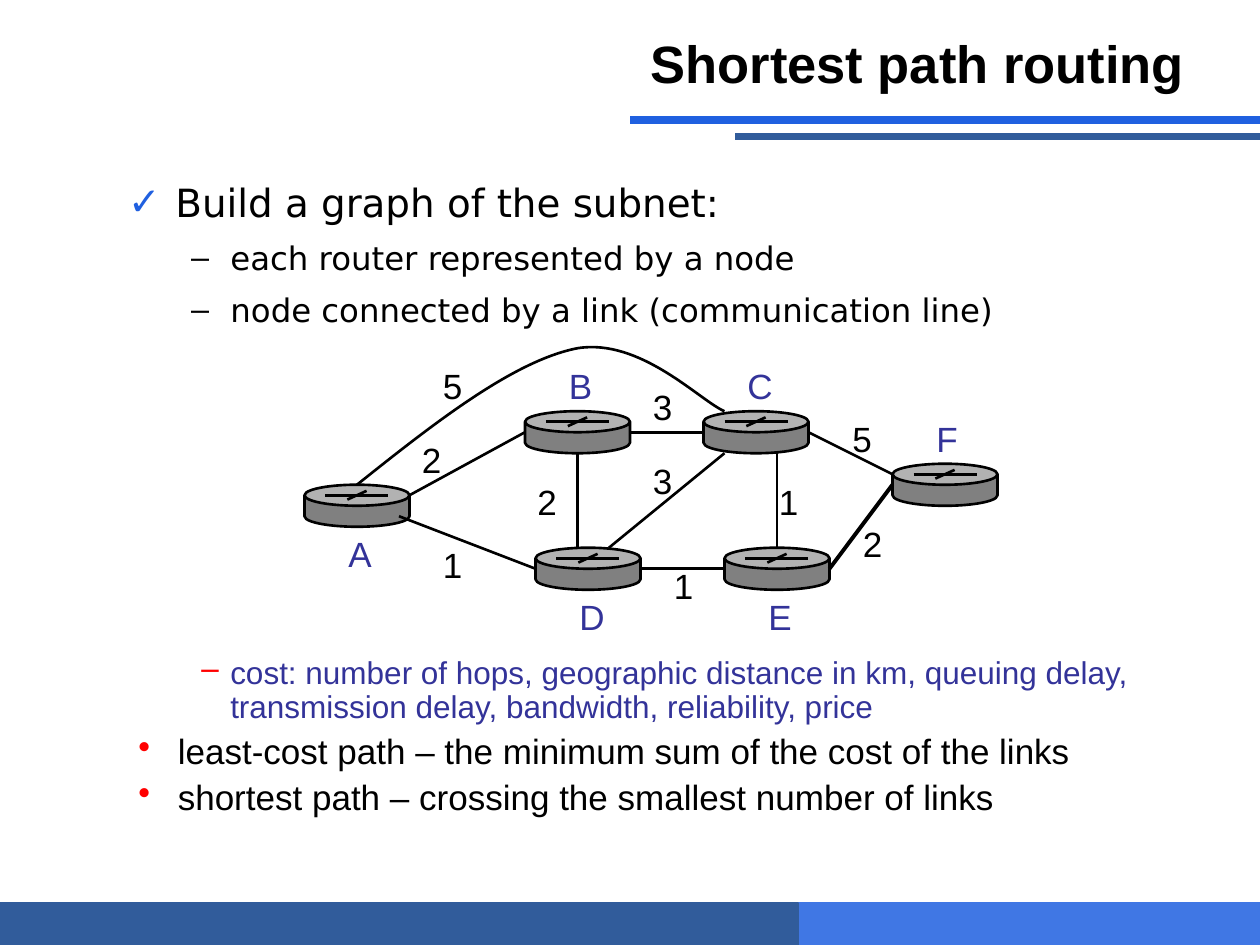
from lxml.etree import SubElement
from pptx import Presentation
from pptx.dml.color import RGBColor
from pptx.enum.shapes import MSO_CONNECTOR, MSO_SHAPE
from pptx.enum.text import MSO_ANCHOR, MSO_AUTO_SIZE, PP_ALIGN
from pptx.oxml.ns import qn
from pptx.util import Pt

BLACK, INDIGO, RED = "000000", "333399", "FF0000"
BLUE, NAVY, SKY = "2060E0", "315C9B", "4077E4"

# Places inside the graph box
ROUTERS = {"A": (0, 84), "B": (126, 42), "C": (228, 42),
           "D": (132, 120), "E": (240, 120), "F": (336, 72)}
NAMES = {"A": (18, 108), "B": (144, 12), "C": (246, 12),
         "D": (150, 144), "E": (258, 144), "F": (354, 42)}
# Ends of the link, its cost, place of the cost, line width
LINKS = [
    ((54, 102, 132, 132), "1", (72, 114), 1.5),
    ((192, 132, 240, 132), "1", (204, 126), 1.5),
    ((300, 132, 336, 84), "2", (312, 102), 2.25),
    ((60, 90, 126, 54), "2", (60, 54), 1.5),
    ((186, 54, 228, 54), "3", (192, 24), 1.5),
    ((288, 54, 336, 78), "5", (306, 42), 1.5),
    ((156, 66, 156, 120), "2", (126, 78), 1.5),
    ((270, 66, 270, 120), "1", (264, 78), 1.5),
    ((174, 120, 240, 66), "3", (192, 66), 1.5),
]
ARC = [(30, 84), (75, 48), (120, 13), (156, 6), (192, 0), (226, 36), (240, 42)]


def color(code):
    return RGBColor.from_string(code)


def place(shape, box):
    shape.left, shape.top, shape.width, shape.height = map(Pt, box)


def style(par, size, font, code, bold=False):
    for run in par.runs:
        run.font.size, run.font.name, run.font.bold = Pt(size), font, bold
        run.font.color.rgb = color(code)


def stroke(shape, code, width):
    shape.line.color.rgb = color(code)
    shape.line.width = Pt(width)


def block(shapes, kind, box, fill, edge, width):
    shape = shapes.add_shape(kind, *map(Pt, box))
    shape.shadow.inherit = False
    shape.fill.solid()
    shape.fill.fore_color.rgb = color(fill)
    stroke(shape, edge, width)
    return shape


def line(shapes, ends, code=BLACK, width=1.5):
    link = shapes.add_connector(MSO_CONNECTOR.STRAIGHT, *map(Pt, ends))
    stroke(link, code, width)
    SubElement(link._element.spPr, qn("a:effectLst"))


def bullet(par, mark, code, margin, hang):
    props = par._p.get_or_add_pPr()
    props.set("marL", str(Pt(margin)))
    props.set("indent", str(-Pt(hang)))
    tint = SubElement(props, qn("a:buClr"))
    SubElement(tint, qn("a:srgbClr")).set("val", code)
    SubElement(props, qn("a:buChar")).set("char", mark)


def items(frame, rows, font, spacing):
    """Fill frame with (text, level, size, colour, bullet, gap) rows."""
    for i, (text, level, size, code, mark, gap) in enumerate(rows):
        par = frame.add_paragraph() if i else frame.paragraphs[0]
        par.text, par.level = text, level
        bullet(par, *mark)
        par.line_spacing = spacing
        par.space_before = Pt(gap if i else 0)
        style(par, size, font, code)


def frame_art(shapes, wide, high):
    """Footer bars and the two rules under the title."""
    foot = high - 24
    block(shapes, MSO_SHAPE.RECTANGLE, (360, foot, wide - 360, 24), SKY, SKY, 0.75)
    block(shapes, MSO_SHAPE.RECTANGLE, (0, foot, 456, 24), NAVY, NAVY, 0.75)
    line(shapes, (wide, 68.5, 360, 68.5), BLUE, 4.5)
    line(shapes, (wide, 78, 420, 78), NAVY, 4.5)


def title(shape, box):
    place(shape, box)
    frame = shape.text_frame
    frame.text = "Shortest path routing"
    frame.vertical_anchor = MSO_ANCHOR.MIDDLE
    frame.auto_size = MSO_AUTO_SIZE.NONE
    par = frame.paragraphs[0]
    par.alignment = PP_ALIGN.RIGHT
    style(par, 30, "Arial", BLACK, True)


def body(shape, box):
    place(shape, box)
    shape.text_frame.auto_size = MSO_AUTO_SIZE.NONE
    check, dash = ("✓", BLUE, 27, 27), ("–", BLACK, 58.5, 22.5)
    items(shape.text_frame, [
        ("Build a graph of the subnet:", 0, 22.2, BLACK, check, 6),
        ("each router represented by a node", 1, 18.5, BLACK, dash, 5),
        ("node connected by a link (communication line)", 1, 18.5, BLACK, dash, 5),
    ], "DejaVu Sans", 1.1)


def router(shapes, x, y):
    can = block(shapes, MSO_SHAPE.CAN, (x, y, 60, 24), "808080", BLACK, 1.5)
    can.adjustments[0] = 0.5
    line(shapes, (x + 12, y + 6, x + 48, y + 6))
    line(shapes, (x + 24.5, y + 8.5, x + 35.5, y + 3.5))


def label(shapes, text, x, y, width, code):
    box = shapes.add_textbox(Pt(x), Pt(y), Pt(width), Pt(31.5))
    box.text_frame.word_wrap = True
    box.text_frame.text = text
    style(box.text_frame.paragraphs[0], 20, "Arial", code)


def curve(shapes, dots):
    """Draw cubic curves: a start, then three points for each piece."""
    dots = [(Pt(x), Pt(y)) for x, y in dots]
    pen = shapes.build_freeform(*dots[0])
    pen.add_line_segments(dots[1:], close=False)
    shape = pen.convert_to_shape()
    shape.shadow.inherit = False
    shape.fill.background()
    stroke(shape, BLACK, 1.5)
    steps = list(shape._element.iter(qn("a:lnTo")))
    trail = steps[0].getparent()
    for i in range(0, len(steps), 3):
        bend = SubElement(trail, qn("a:cubicBezTo"))
        for step in steps[i:i + 3]:
            bend.append(step[0])
            trail.remove(step)


def graph(slide, left, top):
    shapes = slide.shapes.add_group_shape().shapes
    for x, y in ROUTERS.values():
        router(shapes, left + x, top + y)
    for (x1, y1, x2, y2), cost, (x, y), width in LINKS:
        ends = (left + x1, top + y1, left + x2, top + y2)
        line(shapes, ends, BLACK, width)
        label(shapes, cost, left + x, top + y, 24, BLACK)
    curve(shapes, [(left + x, top + y) for x, y in ARC])
    label(shapes, "5", left + 72, top + 12, 24, BLACK)
    for name, (x, y) in NAMES.items():
        label(shapes, name, left + x, top + y, 30, INDIGO)


def notes(shapes, box):
    """Cost and path definitions under the graph."""
    frame = shapes.add_textbox(*map(Pt, box)).text_frame
    frame.word_wrap = True
    dash, dot = ("–", RED, 52.5, 16.5), ("•", RED, 22.5, 22.5)
    items(frame, [
        ("cost: number of hops, geographic distance in km, queuing delay, "
         "transmission delay, bandwidth, reliability, price", 1, 18, INDIGO, dash, 4.5),
        ("least-cost path – the minimum sum of the cost of the links",
         0, 20, BLACK, dot, 5),
        ("shortest path – crossing the smallest number of links",
         0, 20, BLACK, dot, 5),
    ], "Arial", 0.9)


def main():
    deck = Presentation()
    deck.slide_width, deck.slide_height = Pt(720), Pt(540)
    slide = deck.slides.add_slide(deck.slide_layouts[1])
    frame_art(slide.shapes, 720, 540)
    title(slide.shapes.title, (36, 12, 648, 48))
    body(slide.placeholders[1], (66, 96, 618, 96))
    graph(slide, 174, 193)
    notes(slide.shapes, (72, 372, 594, 99))
    deck.save("out.pptx")


if __name__ == "__main__":
    main()
